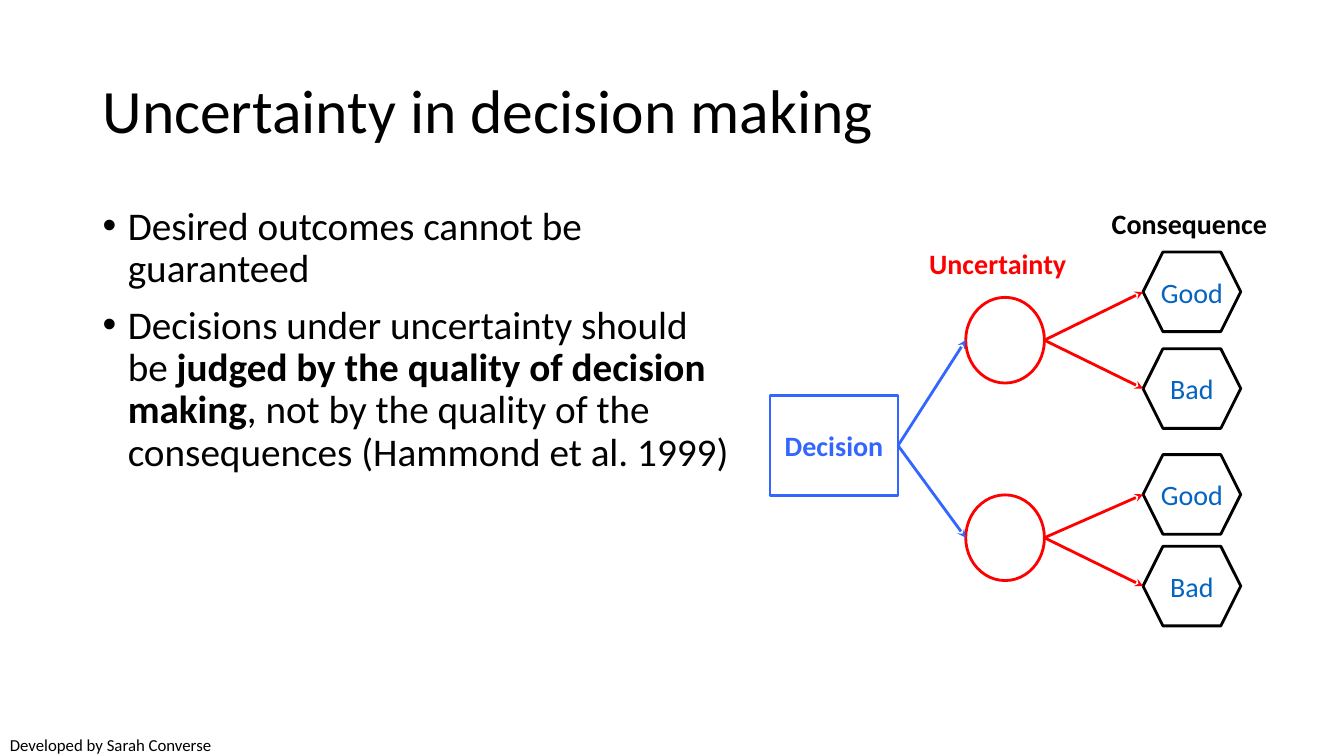
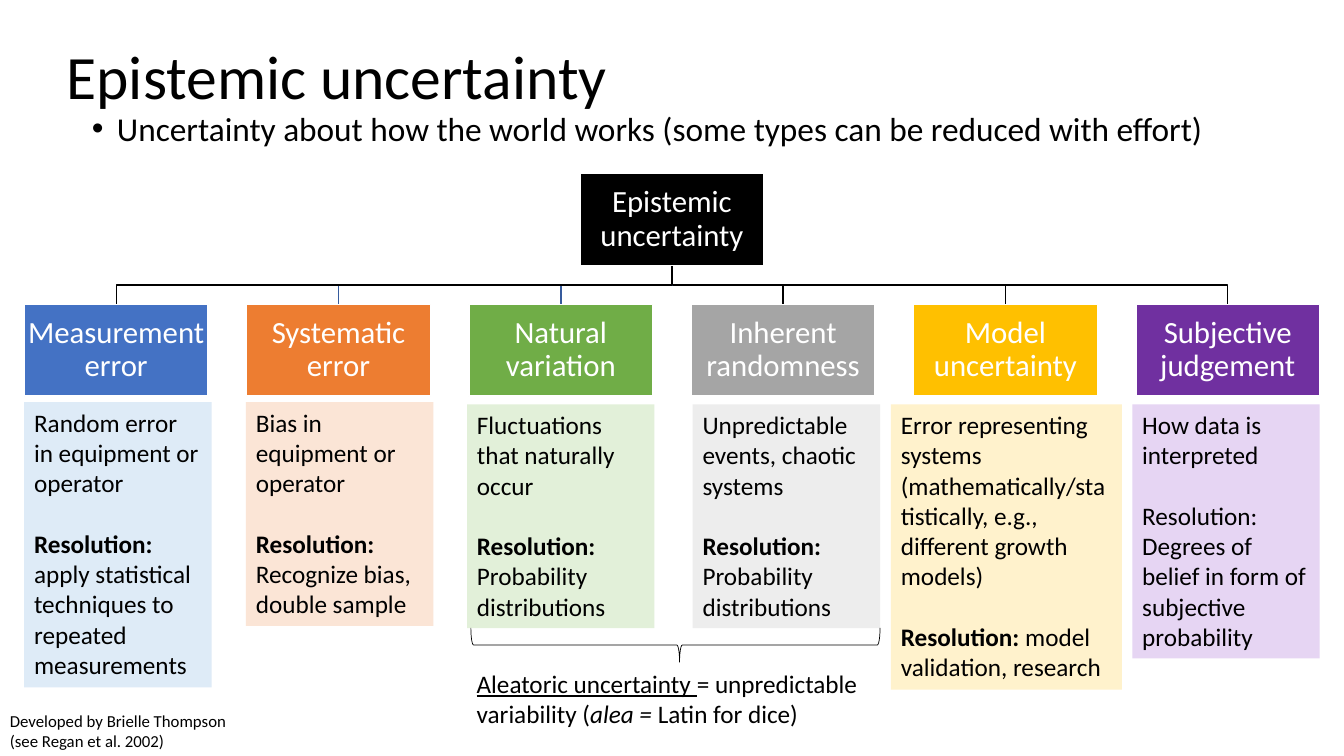
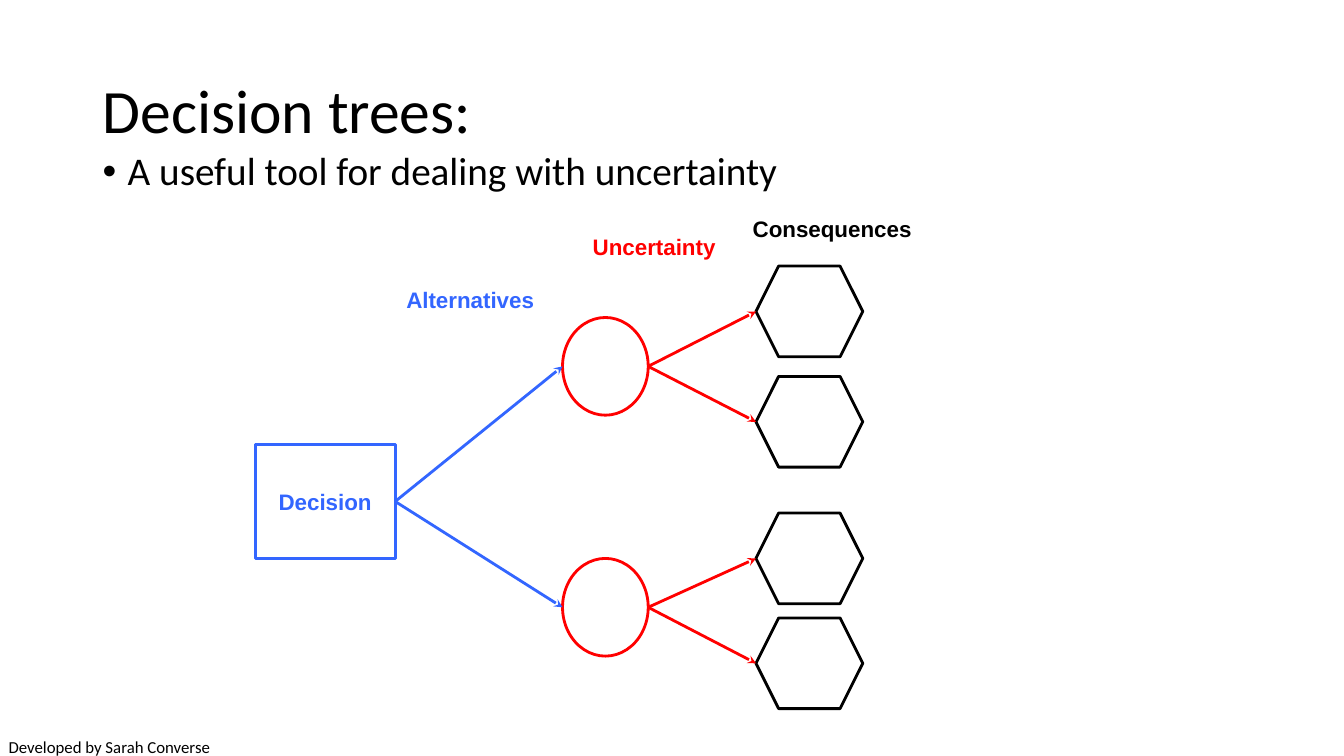
"""Build three slides on uncertainty in decision making."""
from dataclasses import dataclass
from typing import Optional

from lxml.etree import SubElement
from pptx import Presentation
from pptx.dml.color import RGBColor
from pptx.enum.shapes import MSO_CONNECTOR, MSO_SHAPE
from pptx.enum.text import MSO_ANCHOR, PP_ALIGN
from pptx.oxml.ns import qn
from pptx.shapes.autoshape import Shape
from pptx.slide import Slide
from pptx.text.text import TextFrame
from pptx.util import Pt

BLACK = RGBColor(0x00, 0x00, 0x00)
WHITE = RGBColor(0xFF, 0xFF, 0xFF)
RED = RGBColor(0xFF, 0x00, 0x00)
DECISION_BLUE = RGBColor(0x33, 0x66, 0xFF)
OUTCOME_BLUE = RGBColor(0x05, 0x63, 0xC1)
BRANCH_BLUE = RGBColor(0x36, 0x5B, 0x9D)

SLIDE_WIDTH, SLIDE_HEIGHT = 960, 540
HEADER_WIDTH, HEADER_HEIGHT, HEADER_PITCH = 131.3, 65.6, 158.8
ROOT_TOP, HEADER_TOP = 124, 217.4
DETAIL_LINE = 21.6


@dataclass(frozen=True)
class Box:
    left: float
    top: float
    width: float
    height: float

    @property
    def middle(self) -> float:
        return self.top + self.height / 2

    @property
    def right(self) -> float:
        return self.left + self.width


@dataclass(frozen=True)
class Span:
    text: str
    bold: bool = False
    italic: bool = False
    underline: bool = False


@dataclass(frozen=True)
class Style:
    size: float
    color: RGBColor = BLACK
    font: str = "Calibri"
    align: PP_ALIGN = PP_ALIGN.LEFT
    anchor: MSO_ANCHOR = MSO_ANCHOR.TOP
    line_spacing: float = 1.0
    space_before: float = 0
    bullet: bool = False
    margins: tuple[float, float] = (7.2, 3.6)


@dataclass(frozen=True)
class Label:
    text: str
    box: Box
    color: RGBColor


@dataclass(frozen=True)
class Tree:
    font: str
    size: float
    decision: Box
    chances: list[Box]
    outcomes: list[Box]
    outcome_names: list[str]
    labels: list[Label]


@dataclass(frozen=True)
class Category:
    name: str
    fill: RGBColor
    branch: RGBColor
    detail: Box
    detail_fill: RGBColor
    meaning: str
    resolution: list[Span]


Paragraphs = list[list[Span]]


def write(text_frame: TextFrame, paragraphs: Paragraphs, style: Style) -> None:
    text_frame.word_wrap = True
    text_frame.vertical_anchor = style.anchor
    horizontal, vertical = style.margins
    text_frame.margin_left = text_frame.margin_right = Pt(horizontal)
    text_frame.margin_top = text_frame.margin_bottom = Pt(vertical)
    for index, spans in enumerate(paragraphs):
        paragraph = text_frame.add_paragraph() if index else text_frame.paragraphs[0]
        paragraph.alignment = style.align
        paragraph.line_spacing = style.line_spacing
        if index:
            paragraph.space_before = Pt(style.space_before)
        if style.bullet:
            properties = paragraph._p.get_or_add_pPr()
            properties.set("marL", str(Pt(18)))
            properties.set("indent", str(Pt(-18)))
            SubElement(properties, qn("a:buFont")).set("typeface", "Arial")
            SubElement(properties, qn("a:buChar")).set("char", "•")
        for span in spans:
            run = paragraph.add_run()
            run.text = span.text
            font = run.font
            font.name, font.size = style.font, Pt(style.size)
            font.color.rgb = style.color
            font.bold, font.italic, font.underline = span.bold, span.italic, span.underline


def add_text(slide: Slide, box: Box, paragraphs: Paragraphs, style: Style) -> None:
    shape = slide.shapes.add_textbox(Pt(box.left), Pt(box.top), Pt(box.width), Pt(box.height))
    write(shape.text_frame, paragraphs, style)


def paint(shape: Shape, fill: Optional[RGBColor], line: Optional[RGBColor], width: float) -> None:
    shape.shadow.inherit = False
    if fill is None:
        shape.fill.background()
    else:
        shape.fill.solid()
        shape.fill.fore_color.rgb = fill
    if line is None:
        shape.line.fill.background()
    else:
        shape.line.color.rgb = line
        shape.line.width = Pt(width)


def add_shape(slide: Slide, kind: MSO_SHAPE, box: Box, fill: Optional[RGBColor] = None,
              line: Optional[RGBColor] = None, width: float = 2) -> Shape:
    shape = slide.shapes.add_shape(kind, Pt(box.left), Pt(box.top), Pt(box.width), Pt(box.height))
    paint(shape, fill, line, width)
    return shape


def add_arrow(slide: Slide, source: Box, target: Box, color: RGBColor,
              joined: Optional[Shape] = None) -> None:
    connector = slide.shapes.add_connector(
        MSO_CONNECTOR.STRAIGHT, Pt(source.right), Pt(source.middle), Pt(target.left), Pt(target.middle))
    if joined is not None:
        connector.begin_connect(joined, 3)
    connector.line.color.rgb = color
    connector.line.width = Pt(2)
    SubElement(connector.line._get_or_add_ln(), qn("a:tailEnd")).set("type", "stealth")
    SubElement(connector._element.spPr, qn("a:effectLst"))


def add_frame(slide: Slide, title: str, title_left: float, title_top: float,
              footer: list[str], footer_left: float, footer_top: float) -> None:
    add_text(slide, Box(title_left, title_top, 828, 104.4), [[Span(title)]],
             Style(44, anchor=MSO_ANCHOR.MIDDLE, line_spacing=0.9))
    add_text(slide, Box(footer_left, footer_top, 183, 21.6),
             [[Span(line)] for line in footer], Style(12))


def add_tree(slide: Slide, tree: Tree) -> None:
    centred = {"font": tree.font, "align": PP_ALIGN.CENTER}
    decision = add_shape(slide, MSO_SHAPE.RECTANGLE, tree.decision, line=DECISION_BLUE)
    write(decision.text_frame, [[Span("Decision", bold=True)]],
          Style(tree.size, DECISION_BLUE, anchor=MSO_ANCHOR.MIDDLE, **centred))
    for chance in tree.chances:
        add_shape(slide, MSO_SHAPE.OVAL, chance, line=RED)
    for index, outcome in enumerate(tree.outcomes):
        hexagon = add_shape(slide, MSO_SHAPE.HEXAGON, outcome, line=BLACK)
        hexagon.adjustments[0] = 0.25
        if tree.outcome_names:
            name = tree.outcome_names[index % len(tree.outcome_names)]
            write(hexagon.text_frame, [[Span(name)]],
                  Style(tree.size, OUTCOME_BLUE, anchor=MSO_ANCHOR.MIDDLE, margins=(0, 0), **centred))
    for chance in tree.chances:
        add_arrow(slide, tree.decision, chance, DECISION_BLUE, decision)
    for index, outcome in enumerate(tree.outcomes):
        add_arrow(slide, tree.chances[index // 2], outcome, RED)
    for label in tree.labels:
        add_text(slide, label.box, [[Span(label.text, bold=True)]],
                 Style(tree.size, label.color, **centred))


def add_header(slide: Slide, center: float, top: float, name: str, fill: RGBColor) -> None:
    box = Box(center - HEADER_WIDTH / 2, top, HEADER_WIDTH, HEADER_HEIGHT)
    shape = add_shape(slide, MSO_SHAPE.RECTANGLE, box, fill, WHITE, 1)
    write(shape.text_frame, [[Span(name)]],
          Style(22, WHITE, align=PP_ALIGN.CENTER, anchor=MSO_ANCHOR.MIDDLE,
                line_spacing=0.9, margins=(1.4, 1.4)))


def add_branch(slide: Slide, center: float, color: RGBColor) -> None:
    root_bottom, root_center = ROOT_TOP + HEADER_HEIGHT, SLIDE_WIDTH / 2
    bend = (root_bottom + HEADER_TOP) / 2
    builder = slide.shapes.build_freeform(Pt(root_center), Pt(root_bottom))
    corners = [(root_center, bend), (center, bend), (center, HEADER_TOP)]
    builder.add_line_segments([(Pt(x), Pt(y)) for x, y in corners], close=False)
    paint(builder.convert_to_shape(), None, color, 1)


def resolution(text: str) -> list[Span]:
    return [Span("Resolution: ", bold=True), Span(text)]


CATEGORIES = [
    Category("Measurement error", RGBColor(0x44, 0x72, 0xC4), BLACK,
             Box(17.3, 287.3, 133.9, 203.8), RGBColor(0xDE, 0xEB, 0xF7),
             "Random error in equipment or operator",
             resolution("apply statistical techniques to repeated measurements")),
    Category("Systematic error", RGBColor(0xED, 0x7D, 0x31), BRANCH_BLUE,
             Box(175.7, 287.3, 133.9, 159.8), RGBColor(0xFB, 0xE5, 0xD6),
             "Bias in equipment or operator",
             resolution("Recognize bias, double sample")),
    Category("Natural variation", RGBColor(0x70, 0xAD, 0x47), BRANCH_BLUE,
             Box(333.6, 288.9, 133.9, 159.8), RGBColor(0xE2, 0xF0, 0xD9),
             "Fluctuations that naturally occur",
             resolution("Probability distributions")),
    Category("Inherent randomness", RGBColor(0xA5, 0xA5, 0xA5), BLACK,
             Box(494.8, 288.9, 133.9, 159.8), RGBColor(0xED, 0xED, 0xED),
             "Unpredictable events, chaotic systems",
             resolution("Probability distributions")),
    Category("Model uncertainty", RGBColor(0xFF, 0xC0, 0x00), BLACK,
             Box(636.4, 288.9, 164.9, 203.8), RGBColor(0xFF, 0xF2, 0xCC),
             "Error representing systems (mathematically/statistically, e.g., different growth models)",
             resolution("model validation, research")),
    Category("Subjective judgement", RGBColor(0x70, 0x30, 0xA0), BLACK,
             Box(808.8, 288.9, 133.9, 181.4), RGBColor(0xE6, 0xD5, 0xF3),
             "How data is interpreted",
             [Span("Resolution: Degrees of belief in form of subjective probability")]),
]

OUTCOME_TREE = Tree(
    "Calibri", 20, Box(550.1, 282.6, 91.4, 71.3),
    [Box(689.8, top, 56.2, 61.2) for top in (212.4, 353.5)],
    [Box(816.5, top, 69.8, 56.9) for top in (180, 249.1, 324.7, 390.2)],
    ["Good", "Bad"],
    [Label("Uncertainty", Box(656.6, 172.8, 112.3, 28.8), RED),
     Label("Consequence", Box(785.6, 144, 128, 28.8), BLACK)])

ALTERNATIVES_TREE = Tree(
    "Arial", 16, Box(182.2, 317.5, 100.1, 81.4),
    [Box(401.8, top, 61.2, 69.8) for top in (226.8, 398.9)],
    [Box(540, top, 76.3, 64.8) for top in (190.1, 268.9, 366.5, 441.4)],
    [],
    [Label("Consequences", Box(529.4, 149.8, 130, 33.1), BLACK),
     Label("Alternatives", Box(256.3, 200.9, 159.1, 33.1), DECISION_BLUE),
     Label("Uncertainty", Box(406.1, 162.7, 122.4, 33.1), RED)])


def build_decision_making(slide: Slide) -> None:
    add_frame(slide, "Uncertainty in decision making", 66.2, 28.8,
              ["Developed by Sarah Converse"], 0, 521.3)
    add_text(slide, Box(66.2, 144, 461.5, 342.7), [
        [Span("Desired outcomes cannot be guaranteed")],
        [Span("Decisions under uncertainty should be "),
         Span("judged by the quality of decision making", bold=True),
         Span(", not by the quality of the consequences (Hammond et al. 1999)")],
    ], Style(28, line_spacing=0.9, space_before=10, bullet=True))
    add_tree(slide, OUTCOME_TREE)


def build_epistemic(slide: Slide) -> None:
    centers = [SLIDE_WIDTH / 2 + (index - (len(CATEGORIES) - 1) / 2) * HEADER_PITCH
               for index in range(len(CATEGORIES))]
    for center, category in reversed(list(zip(centers, CATEGORIES))):
        add_branch(slide, center, category.branch)
    add_header(slide, SLIDE_WIDTH / 2, ROOT_TOP, "Epistemic uncertainty", BLACK)
    add_frame(slide, "Epistemic uncertainty", 40.5, 4.3,
              ["Developed by Brielle Thompson", "(see Regan et al. 2002)"], 0, 504)
    add_text(slide, Box(58.5, 79.2, 828, 41.8),
             [[Span("Uncertainty about how the world works (some types can be reduced with effort)")]],
             Style(23.8, line_spacing=0.8, bullet=True))
    for center, category in zip(centers, CATEGORIES):
        add_header(slide, center, HEADER_TOP, category.name, category.fill)
        detail = add_shape(slide, MSO_SHAPE.RECTANGLE, category.detail, category.detail_fill)
        write(detail.text_frame, [[Span(category.meaning)], category.resolution],
              Style(18, space_before=DETAIL_LINE))
    brace = add_shape(slide, MSO_SHAPE.RIGHT_BRACE, Box(470.2, 314.6, 24.5, 292.3),
                      line=BLACK, width=0.5)
    brace.rotation = 90
    brace.adjustments[0], brace.adjustments[1] = 0.08, 0.49
    add_text(slide, Box(333.4, 473.8, 292.3, 51.1), [[
        Span("Aleatoric uncertainty ", underline=True),
        Span("= unpredictable variability ("),
        Span("alea = ", italic=True),
        Span("Latin for dice)"),
    ]], Style(18))


def build_decision_trees(slide: Slide) -> None:
    add_frame(slide, "Decision trees:", 66.2, 28.8,
              ["Developed by Sarah Converse"], -0.9, 522.7)
    add_text(slide, Box(66.2, 105, 828, 52.6),
             [[Span("A useful tool for dealing with uncertainty")]],
             Style(28, line_spacing=0.9, bullet=True))
    add_tree(slide, ALTERNATIVES_TREE)


def main() -> None:
    presentation = Presentation()
    presentation.slide_width, presentation.slide_height = Pt(SLIDE_WIDTH), Pt(SLIDE_HEIGHT)
    for build in (build_decision_making, build_epistemic, build_decision_trees):
        build(presentation.slides.add_slide(presentation.slide_layouts[6]))
    presentation.save("out.pptx")


if __name__ == "__main__":
    main()
